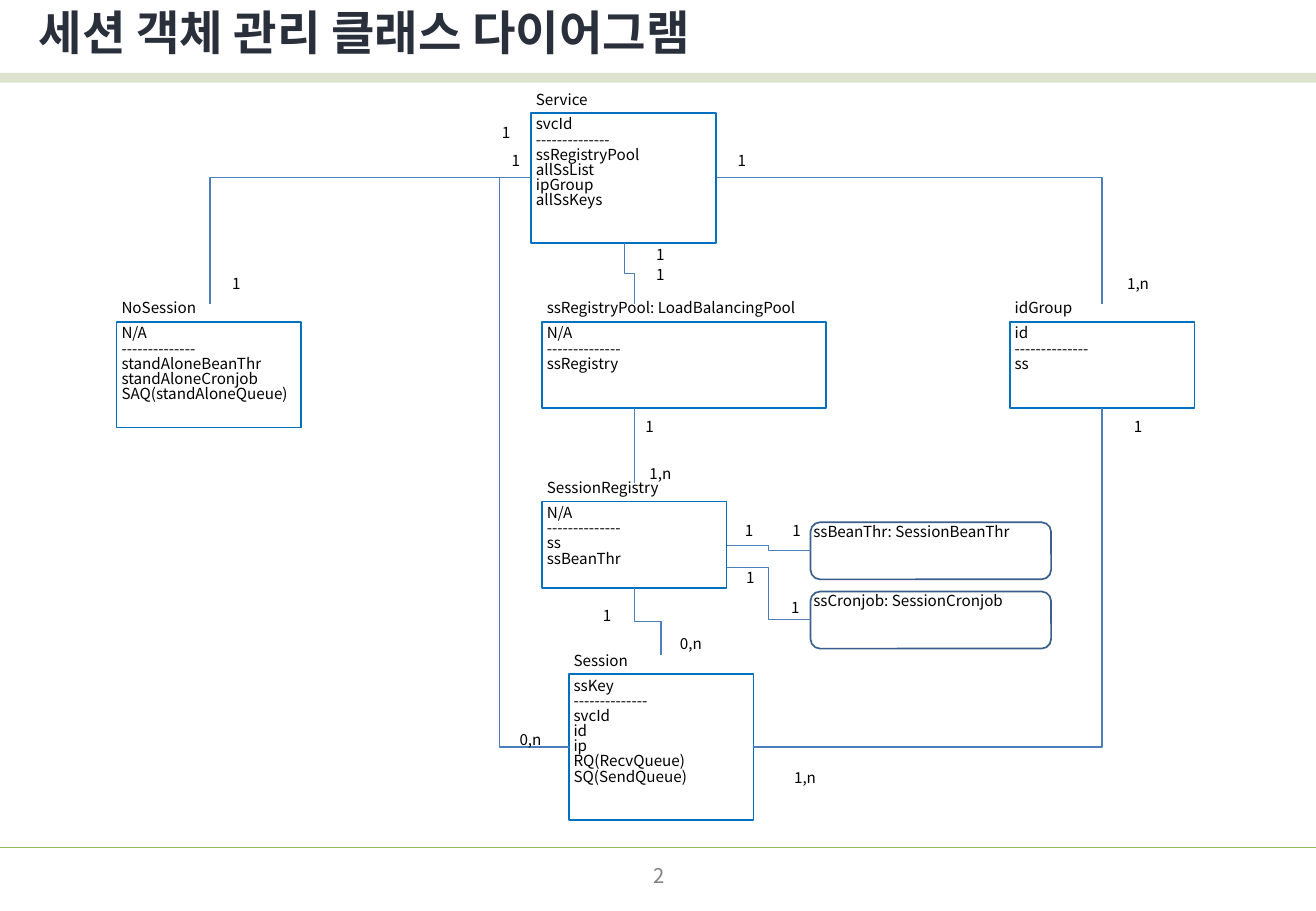
import pptx
import pptx.util
import pptx.dml.color
import pptx.enum.shapes
import pptx.enum.text
import pptx.oxml.ns
from lxml import etree

# Content: lengths in px, 100 px to the inch
TITLE = "세션 객체 관리 클래스 다이어그램"
PAGE = "2"
FACE = "Noto Sans CJK KR"
RULE = "--------------"
HEX = {"ink": "000000", "title": "29303B", "page": "808080", "box": "0070C0",
       "round": "3A5F8C", "link": "4B7EBC", "foot": "98B955", "bar": "77933C"}

# Class: name, key, members, left, top, width, height, name height
CLASSES = [
    ("Service", "svcId", ["ssRegistryPool", "allSsList", "ipGroup", "allSsKeys"],
     437, 93, 152, 107, 23),
    ("Session", "ssKey", ["svcId", "id", "ip", "RQ(RecvQueue)", "SQ(SendQueue)"],
     468, 555, 152, 120, 16),
    ("idGroup", "id", ["ss"], 831, 265, 152, 71, 15),
    ("ssRegistryPool: LoadBalancingPool", "N/A", ["ssRegistry"],
     446, 265, 234, 71, 15),
    ("SessionRegistry", "N/A", ["ss", "ssBeanThr"], 446, 413, 152, 71, 15),
    ("NoSession", "N/A",
     ["standAloneBeanThr", "standAloneCronjob", "SAQ(standAloneQueue)"],
     96, 265, 152, 87, 15),
]
THREADS = [("ssBeanThr: SessionBeanThr", 430), ("ssCronjob: SessionCronjob", 487)]

# Multiplicity: text and the left top corners where it stands
COUNTS = {
    "1": [(412, 125), (531, 219), (598, 125), (531, 203), (924, 344), (522, 344),
          (604, 430), (643, 430), (404, 102), (182, 227), (487, 500), (605, 469),
          (642, 493)],
    "1,n": [(924, 227), (531, 383), (650, 633)],
    "0,n": [(424, 602), (556, 523)],
}

# Links: corner = one bend, step = across first, drop = down first
CORNERS = [(590, 146, 907, 250), (620, 615, 907, 336), (437, 146, 173, 250)]
STEPS = [(437, 146, 468, 615, -0.83), (598, 449, 667, 453, 0.5),
         (598, 467, 667, 510, 0.5)]
DROPS = [(514, 200, 522, 250), (522, 336, 522, 398), (522, 484, 544, 539)]

KIND = pptx.enum.shapes.MSO_SHAPE
WIRE = pptx.enum.shapes.MSO_CONNECTOR
ANCHOR = pptx.enum.text.MSO_ANCHOR
ALIGN = pptx.enum.text.PP_ALIGN
Pt = pptx.util.Pt
qn = pptx.oxml.ns.qn


def px(n):
    return pptx.util.Emu(round(n * 9144))


def tint(name):
    return pptx.dml.color.RGBColor.from_string(HEX[name])


def write(shape, lines, size=9, ink="ink", inset=(0, 0), anchor=ANCHOR.TOP,
          align=ALIGN.LEFT, wrap=True, space=0.83, bold=False):
    frame = shape.text_frame
    frame.text = "\n".join(lines)
    frame.word_wrap = wrap
    frame.vertical_anchor = anchor
    frame.margin_left = frame.margin_right = px(inset[0])
    frame.margin_top = frame.margin_bottom = px(inset[1])
    for par in frame.paragraphs:
        par.alignment, par.line_spacing = align, space
        par.space_before = par.space_after = Pt(0)
        font = par.font
        font.size, font.bold, font.name = Pt(size), bold, FACE
        font.color.rgb = tint(ink)
        # East Asian face for the Korean text
        props = par._p.find(".//" + qn("a:defRPr"))
        etree.SubElement(props, qn("a:ea")).set("typeface", FACE)


def label(box, lines, **style):
    write(slide.shapes.add_textbox(*map(px, box)), lines, **style)


def outline(kind, box, ink):
    shape = slide.shapes.add_shape(kind, *map(px, box))
    shape.shadow.inherit = False
    shape.fill.background()
    shape.line.color.rgb = tint(ink)
    shape.line.width = Pt(1)
    return shape


def link(kind, ends, ink="link"):
    wire = slide.shapes.add_connector(kind, *map(px, ends))
    wire.line.color.rgb = tint(ink)
    wire.line.width = Pt(0.75)
    etree.SubElement(wire._element.spPr, qn("a:effectLst"))
    return wire


def bend(wire, part):
    geom = wire._element.spPr.find(qn("a:prstGeom"))
    guide = etree.SubElement(geom.find(qn("a:avLst")), qn("a:gd"))
    guide.set("name", "adj1")
    guide.set("fmla", f"val {round(part * 100000)}")


deck = pptx.Presentation()
deck.slide_width, deck.slide_height = px(1083), px(750)
slide = deck.slides.add_slide(deck.slide_layouts[5])

# Footer line and bar under the title
link(WIRE.STRAIGHT, (0, 698, 1083, 698), "foot")
bar = outline(KIND.RECTANGLE, (0, 60, 1083, 8), "bar")
bar.line.fill.background()
bar.fill.solid()
bar.fill.fore_color.rgb = tint("bar")
shade = bar._element.spPr.find(qn("a:solidFill"))[0]
etree.SubElement(shade, qn("a:alpha")).set("val", "25000")

# Title and page number
head = slide.shapes.title
head.left, head.top, head.width, head.height = map(px, (22, 0, 677, 52))
write(head, [TITLE], size=28, ink="title", inset=(10, 0), anchor=ANCHOR.MIDDLE,
      space=1, bold=True)
label((416, 706, 253, 29), [PAGE], size=12, ink="page", anchor=ANCHOR.MIDDLE,
      align=ALIGN.CENTER, space=1)

# Classes and threads
for name, key, members, x, y, w, h, up in CLASSES:
    label((x, y - up, w, up), [name], inset=(4, 4), anchor=ANCHOR.BOTTOM)
    write(outline(KIND.RECTANGLE, (x, y, w, h), "box"), [key, RULE, *members],
          inset=(4, 4))
for name, y in THREADS:
    write(outline(KIND.ROUNDED_RECTANGLE, (667, y, 198, 47), "round"), [name])

# Links
for ends in CORNERS:
    wire = link(WIRE.ELBOW, ends)
    wire._element.spPr.find(qn("a:prstGeom")).set("prst", "bentConnector2")
for *ends, part in STEPS:
    bend(link(WIRE.ELBOW, ends), part)
for x1, y1, x2, y2 in DROPS:
    # Lay the elbow flat about its centre, then turn it upright
    cx, cy, dx, dy = (x1 + x2) / 2, (y1 + y2) / 2, (x2 - x1) / 2, (y2 - y1) / 2
    wire = link(WIRE.ELBOW, (cx + dy, cy - dx, cx - dy, cy + dx))
    wire._element.spPr.find(qn("a:xfrm")).set("rot", str(270 * 60000))
    bend(wire, 0.5)

# Multiplicities
for text, spots in COUNTS.items():
    for x, y in spots:
        label((x, y, 25, 16), [text], anchor=ANCHOR.MIDDLE, align=ALIGN.CENTER)

deck.save("out.pptx")
